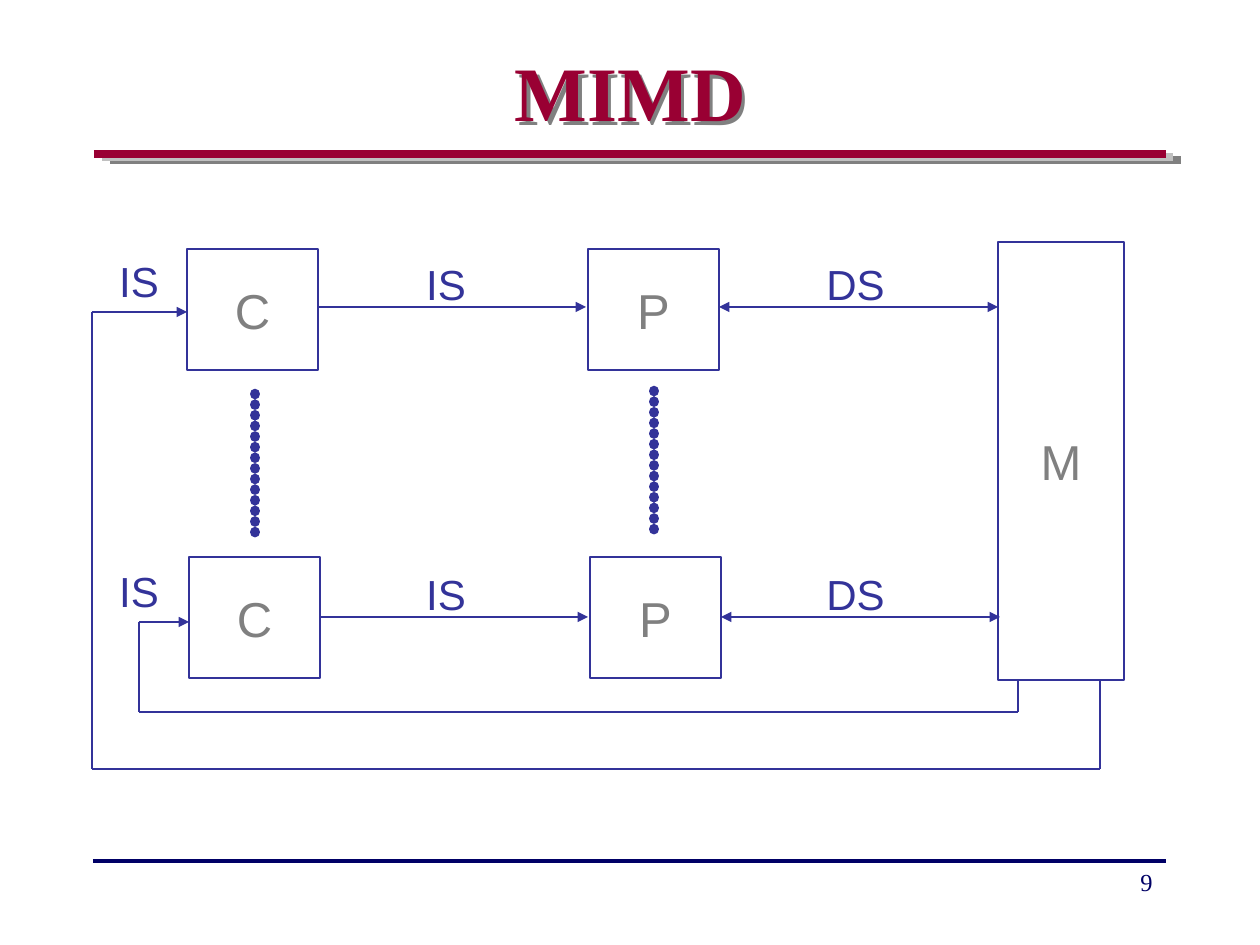
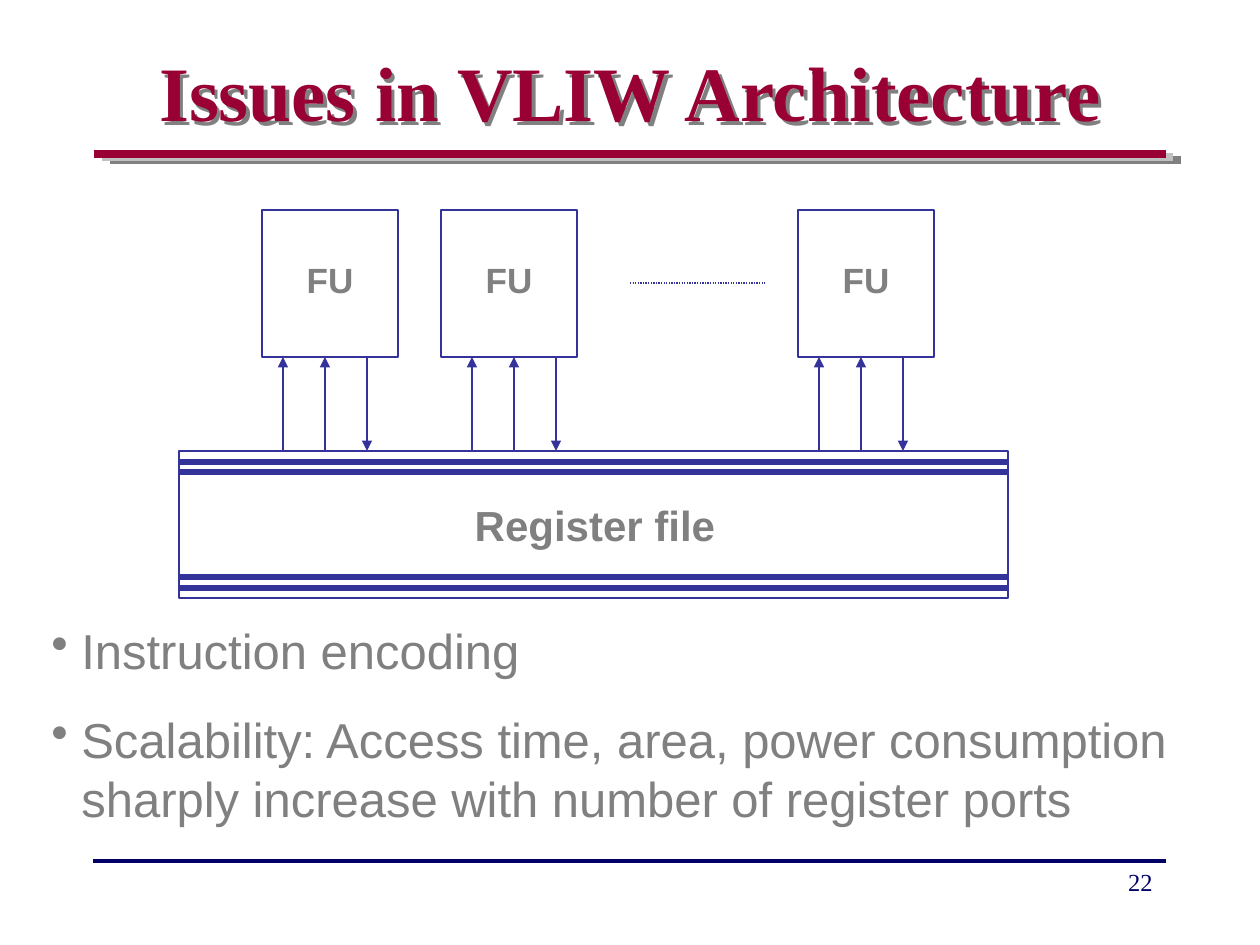
from dataclasses import dataclass

from lxml.etree import SubElement
from pptx import Presentation
from pptx.dml.color import RGBColor
from pptx.enum.dml import MSO_LINE
from pptx.enum.shapes import MSO_CONNECTOR as Connector, MSO_SHAPE as Preset
from pptx.enum.text import MSO_ANCHOR as Anchor, MSO_AUTO_SIZE as AutoSize, PP_ALIGN as Align
from pptx.oxml.ns import qn
from pptx.util import Emu, Pt

EMU_PER_PX = 914400 / 126


@dataclass(frozen=True)
class Theme:
    crimson: str = "990033"
    navy: str = "000066"
    indigo: str = "333399"
    gray: str = "808080"
    silver: str = "C0C0C0"
    white: str = "FFFFFF"
    serif: str = "Times New Roman"
    sans: str = "Arial"
    title_size: int = 44
    body_size: int = 28
    label_size: int = 24
    unit_size: int = 20
    number_size: int = 14
    thin: float = 0.75


THEME = Theme()


def px(length):
    return Emu(round(length * EMU_PER_PX))


def color(value):
    return RGBColor.from_string(value)


def style_text(frame, size, ink, font=THEME.sans, bold=False, align=Align.CENTER, anchor=Anchor.MIDDLE):
    frame.vertical_anchor = anchor
    for para in frame.paragraphs:
        para.alignment = align
        for span in para.runs:
            span.font.size = Pt(size)
            span.font.name = font
            span.font.bold = bold
            span.font.color.rgb = color(ink)


def add_line(slide, start, end, ink=THEME.indigo, width=THEME.thin, head=False, tail=False,
             dash=None, beads=False):
    """Draw a straight line; beads turns it into a row of touching round dots."""
    line = slide.shapes.add_connector(Connector.STRAIGHT, *map(px, start + end))
    line.line.color.rgb = color(ink)
    line.line.width = Pt(width)
    if dash:
        line.line.dash_style = dash
    outline = line.element.find(".//" + qn("a:ln"))
    if beads:
        outline.set("cap", "rnd")
        pattern = SubElement(outline, qn("a:custDash"))
        SubElement(pattern, qn("a:ds"), d="100000", sp="1000")
    for tag, wanted in (("a:headEnd", head), ("a:tailEnd", tail)):
        if wanted:
            SubElement(outline, qn(tag), type="triangle")
    SubElement(line.element.find(qn("p:spPr")), qn("a:effectLst"))
    return line


def add_route(slide, points):
    """Join the points with lines, with an arrowhead at the last one."""
    for start, end in zip(points, points[1:]):
        add_line(slide, start, end, tail=end == points[-1])


def add_box(slide, bounds, text=None, fill=None):
    box = slide.shapes.add_shape(Preset.RECTANGLE, *map(px, bounds))
    box.shadow.inherit = False
    if fill:
        box.fill.solid()
        box.fill.fore_color.rgb = color(fill)
    else:
        box.fill.background()
    box.line.color.rgb = color(THEME.indigo)
    box.line.width = Pt(THEME.thin)
    if text:
        box.text_frame.text = text
        box.text_frame.word_wrap = False
        style_text(box.text_frame, THEME.body_size, THEME.gray)


def add_label(slide, bounds, text, size=THEME.label_size, ink=THEME.indigo, **style):
    label = slide.shapes.add_textbox(*map(px, bounds))
    frame = label.text_frame
    frame.text = text
    frame.word_wrap = False
    frame.auto_size = AutoSize.SHAPE_TO_FIT_TEXT
    style_text(frame, size, ink, **style)


def add_bullets(slide, bounds, items):
    frame = slide.shapes.add_textbox(*map(px, bounds)).text_frame
    frame.text = "\n".join(items)
    frame.word_wrap = True
    style_text(frame, THEME.body_size, THEME.gray, align=Align.LEFT, anchor=Anchor.TOP)
    for index, para in enumerate(frame.paragraphs):
        para.space_before = Pt(17.5 if index else 0)
        props = para._p.get_or_add_pPr()
        props.set("marL", str(px(30)))
        props.set("indent", str(px(-30)))
        SubElement(props, qn("a:buChar"), char="•")


def cast_text_shadow(title):
    """Give the unfilled title a shadow, which falls from its letters."""
    effects = SubElement(title.element.find(qn("p:spPr")), qn("a:effectLst"))
    shadow = SubElement(effects, qn("a:outerShdw"), dist="35921", dir="2700000")
    SubElement(shadow, qn("a:srgbClr"), val=THEME.gray)


def add_rules(layout, slide):
    """Draw the title and footer rules and move them to the shared layout."""
    rules = [
        ((110, 160), (1181, 160), THEME.gray, 4.5),
        ((102, 157), (1173, 157), THEME.silver, 4.5),
        ((94, 154), (1166, 154), THEME.crimson, 4.5),
        ((93, 861), (1166, 861), THEME.navy, 2.25),
    ]
    for rule in rules:
        layout.shapes.element.append(add_line(slide, *rule).element)


def start_slide(deck, title_text, number):
    slide = deck.slides.add_slide(deck.slide_layouts[5])
    title = slide.shapes.title
    title.left, title.top, title.width, title.height = map(px, (95, 12, 1071, 158))
    title.text_frame.text = title_text
    title.text_frame.auto_size = AutoSize.NONE
    style_text(title.text_frame, THEME.title_size, THEME.crimson, THEME.serif, bold=True)
    cast_text_shadow(title)
    page = slide.shapes.add_textbox(*map(px, (903, 861, 262, 63))).text_frame
    page.text = str(number)
    page.word_wrap = True
    style_text(page, THEME.number_size, THEME.navy, THEME.serif, align=Align.RIGHT, anchor=Anchor.TOP)
    return slide


def draw_mimd(slide):
    add_box(slide, (998, 242, 126, 438), "M", THEME.white)
    for shift, box_top, arrow_y in ((0, 249, 307), (2, 557, 617)):
        control, processor = 187 + shift, 588 + shift
        for left, name in ((control, "C"), (processor, "P")):
            add_box(slide, (left, box_top, 131, 121), name, THEME.white)
        add_line(slide, (control + 131, arrow_y), (processor - 2, arrow_y), tail=True)
        add_line(slide, (processor + 131, arrow_y), (998 + shift, arrow_y), head=True, tail=True)
        add_label(slide, (104, arrow_y - 58, 70, 63), "IS")
        add_label(slide, (411, arrow_y - 55, 70, 63), "IS")
        add_label(slide, (811, arrow_y - 55, 89, 63), "DS")
    for x, top in ((255, 394), (654, 391)):
        add_line(slide, (x, top), (x, top + 139), width=6, beads=True)
    add_route(slide, [(1018, 680), (1018, 712), (139, 712), (139, 622), (189, 622)])
    add_route(slide, [(1100, 680), (1100, 769), (92, 769), (92, 312), (187, 312)])


def draw_vliw(slide):
    unit_bottom, file_top = 357, 451
    add_box(slide, (179, file_top, 829, 147))
    for y in (462, 472, 577, 588):
        add_line(slide, (179, y), (1008, y), width=3)
    for unit_left, port_left in ((262, 283), (441, 472), (798, 819)):
        add_box(slide, (unit_left, 210, 136, 147))
        add_label(slide, (unit_left + 32, 252, 72, 55), "FU", THEME.unit_size, THEME.gray,
                  bold=True, anchor=Anchor.BOTTOM)
        read_1, read_2, write = (port_left + 42 * port for port in range(3))
        for x in (read_1, read_2):
            add_line(slide, (x, file_top), (x, unit_bottom), tail=True)
        add_line(slide, (write, unit_bottom), (write, file_top), tail=True)
    add_line(slide, (630, 283), (766, 283), dash=MSO_LINE.ROUND_DOT)
    add_label(slide, (462, 493, 266, 63), "Register file", ink=THEME.gray,
              bold=True, anchor=Anchor.BOTTOM)
    add_bullets(slide, (39, 614, 1178, 220), [
        "Instruction encoding",
        "Scalability: Access time, area, power consumption sharply increase"
        " with number of register ports",
    ])


def main():
    deck = Presentation()
    deck.slide_width, deck.slide_height = px(1260), px(945)
    mimd = start_slide(deck, "MIMD", 9)
    add_rules(deck.slide_layouts[5], mimd)
    draw_mimd(mimd)
    draw_vliw(start_slide(deck, "Issues in VLIW Architecture", 22))
    deck.save("out.pptx")


if __name__ == "__main__":
    main()
